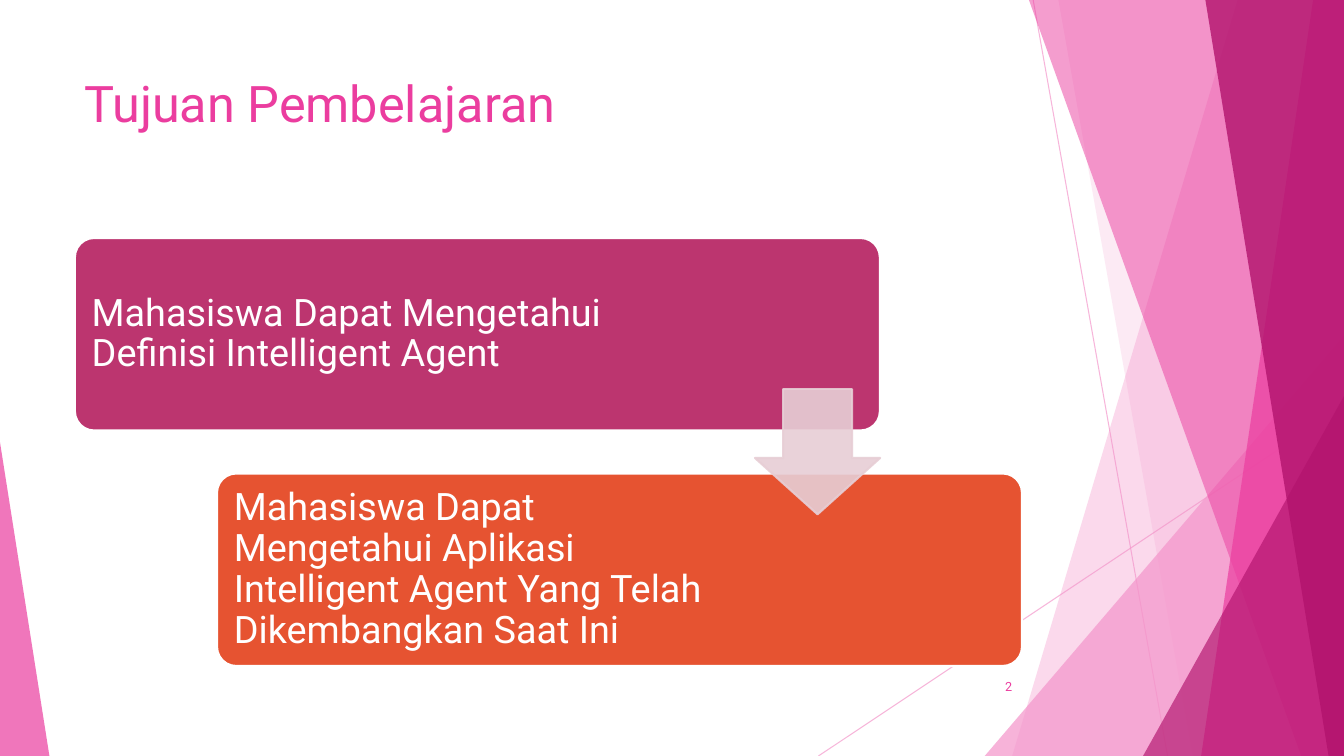
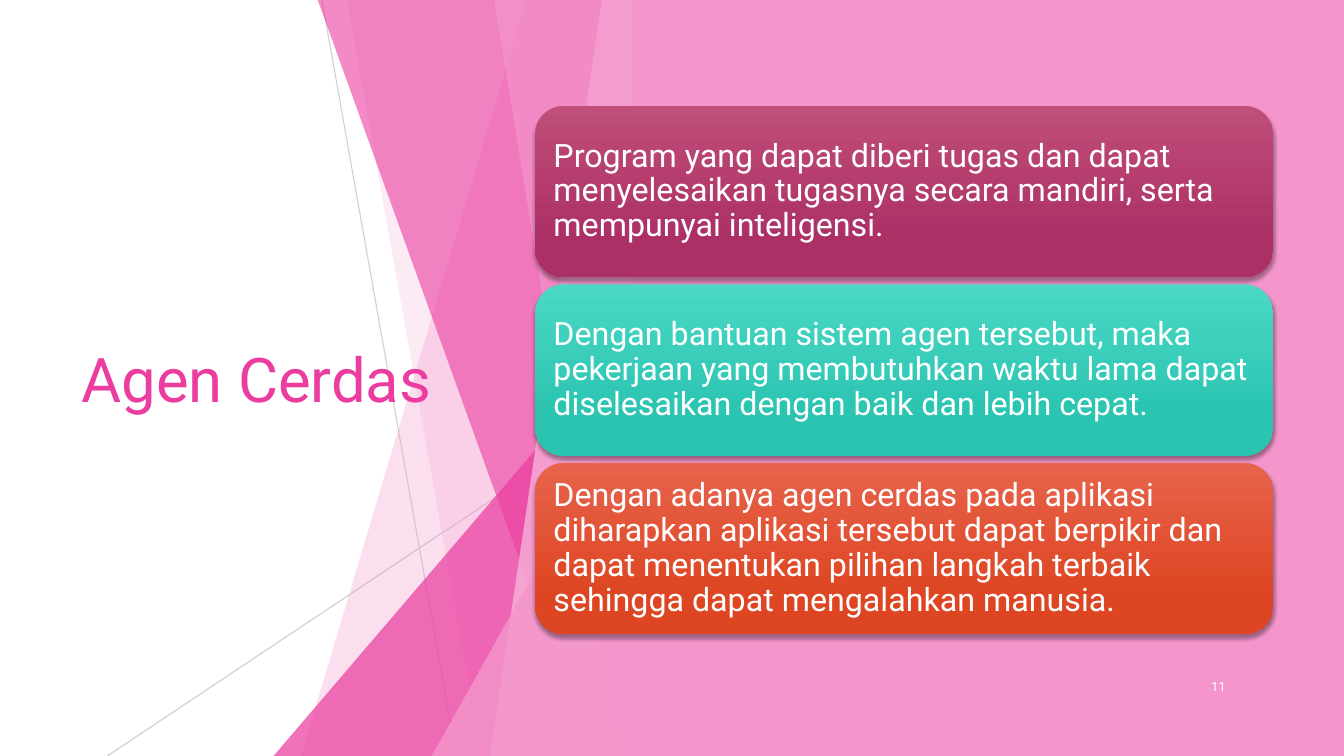
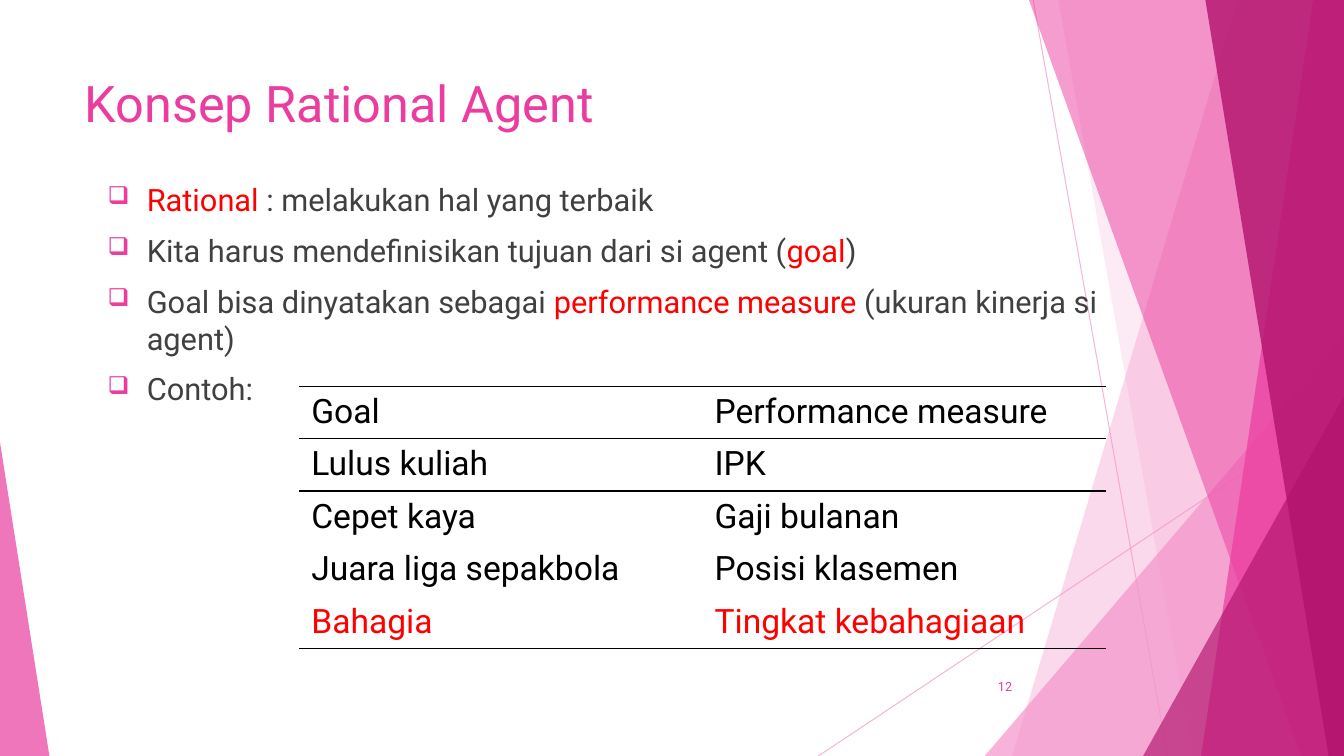
from dataclasses import dataclass

from lxml import etree
from pptx import Presentation
from pptx.dml.color import RGBColor
from pptx.enum.shapes import MSO_CONNECTOR, MSO_SHAPE
from pptx.enum.text import MSO_ANCHOR, PP_ALIGN
from pptx.oxml.ns import qn
from pptx.util import Pt

STRAIGHT = MSO_CONNECTOR.STRAIGHT
TRIANGLE = MSO_SHAPE.ISOSCELES_TRIANGLE
ROUNDED = MSO_SHAPE.ROUNDED_RECTANGLE
RECTANGLE = MSO_SHAPE.RECTANGLE
DOWN_ARROW = MSO_SHAPE.DOWN_ARROW
LEFT, RIGHT = PP_ALIGN.LEFT, PP_ALIGN.RIGHT
TOP, MIDDLE = MSO_ANCHOR.TOP, MSO_ANCHOR.MIDDLE


@dataclass(frozen=True)
class Theme:
    font: str = "Roboto"
    pink: str = "EB3D9F"
    light_pink: str = "F496CB"
    pale_pink: str = "F8C0E0"
    magenta: str = "B2136D"
    rose: str = "BC356F"
    orange: str = "E65331"
    arrow: str = "E7CED5"
    gray: str = "BFBFBF"
    dark: str = "404040"
    red: str = "FF0000"
    black: str = "000000"
    white: str = "FFFFFF"
    rose_fade: tuple = ("BF4E79", "AC3066")
    teal_fade: tuple = ("4AD8C5", "2AC4B1")
    orange_fade: tuple = ("E7634C", "DE4522")
    title: int = 36
    big_title: int = 44
    step: int = 27
    card: int = 23
    body: int = 22
    table: int = 24
    number: int = 9


THEME = Theme()
WIDTH, HEIGHT = 960, 540
FACET_SHIFT = -508
TITLE_BOX = (53.3, 48.2, 677, 65)
TEXT_INSETS = (7.2, 3.6, 7.2, 3.6)

FACETS = [
    ("band", 884, 723),
    ("band", 756, 852),
    ("corner", 703.4, 240),
    ("band", 735, 929.5),
    ("band", 938, 858),
    ("band", 861, 949),
    ("corner", 816.5, 283),
]
RIGHT_PAINTS = [
    (THEME.light_pink, 36),
    (THEME.light_pink, 20),
    (THEME.light_pink, 72),
    (THEME.pink, 50),
    (THEME.pink, 70),
    (THEME.magenta, 80),
    (THEME.magenta, 66),
]
LEFT_PAINTS = [
    (THEME.light_pink, 30),
    (THEME.light_pink, 20),
    (THEME.pink, 72),
    (THEME.pink, 60),
    (THEME.pale_pink, 70),
    (THEME.light_pink, 65),
    (THEME.light_pink, 80),
]


def rgb(color):
    return RGBColor.from_string(color)


def add_element(parent, tag, **attributes):
    element = etree.SubElement(parent, qn(tag))
    for name, value in attributes.items():
        element.set(name, str(value))
    return element


def fade(shape, alpha, *route):
    fill = shape._element.spPr.find("/".join(qn(tag) for tag in route))
    add_element(fill[0], "a:alpha", val=alpha * 1000)


def paint(shape, color, alpha=100, line=None, line_width=1.5):
    shape.shadow.inherit = False
    shape.fill.solid()
    shape.fill.fore_color.rgb = rgb(color)
    if alpha < 100:
        fade(shape, alpha, "a:solidFill")
    if line is None:
        shape.line.fill.background()
        return
    shape.line.color.rgb = rgb(line)
    shape.line.width = Pt(line_width)
    if alpha < 100:
        fade(shape, alpha, "a:ln", "a:solidFill")


def paint_gradient(shape, colors):
    shape.fill.gradient()
    shape.fill.gradient_angle = 270
    for stop, color, position in zip(shape.fill.gradient_stops, colors, (0, 0.78)):
        stop.color.rgb = rgb(color)
        stop.position = position
    shape.line.fill.background()
    shape.shadow.inherit = False
    effects = shape._element.spPr.find(qn("a:effectLst"))
    shadow = add_element(effects, "a:outerShdw", blurRad=Pt(3), dist=Pt(2),
                         dir=90 * 60000, rotWithShape=0)
    color = add_element(shadow, "a:srgbClr", val=THEME.black)
    add_element(color, "a:alpha", val=35000)


def add_preset(slide, kind, box, adjustments=()):
    shape = slide.shapes.add_shape(kind, *(Pt(length) for length in box))
    for index, value in enumerate(adjustments):
        shape.adjustments[index] = value
    return shape


def add_bullet(paragraph, indent=28):
    properties = paragraph._p.get_or_add_pPr()
    properties.set("marL", str(Pt(indent)))
    properties.set("indent", str(-Pt(indent)))
    color = add_element(properties, "a:buClr")
    add_element(color, "a:srgbClr", val=THEME.pink)
    add_element(properties, "a:buSzPct", val=80000)
    add_element(properties, "a:buChar", char="❑")


def write(frame, text, *, size, color, align=LEFT, anchor=TOP, insets=TEXT_INSETS,
          spacing=None, before=0, bullet=False):
    frame.word_wrap = True
    frame.vertical_anchor = anchor
    (frame.margin_left, frame.margin_top,
     frame.margin_right, frame.margin_bottom) = (Pt(inset) for inset in insets)
    paragraphs = [[(text, color)]] if isinstance(text, str) else text
    for index, runs in enumerate(paragraphs):
        paragraph = frame.add_paragraph() if index else frame.paragraphs[0]
        if bullet:
            add_bullet(paragraph)
        paragraph.alignment = align
        if spacing:
            paragraph.line_spacing = spacing
        if index and before:
            paragraph.space_before = Pt(before)
        for content, run_color in runs:
            run = paragraph.add_run()
            run.text = content
            run.font.name = THEME.font
            run.font.size = Pt(size)
            run.font.color.rgb = rgb(run_color)


def add_text(slide, box, text, **text_format):
    shape = slide.shapes.add_textbox(*(Pt(length) for length in box))
    write(shape.text_frame, text, **text_format)


def add_title(slide, text, box=TITLE_BOX, size=THEME.title, anchor=TOP):
    title = slide.shapes.title
    title.left, title.top, title.width, title.height = (Pt(length) for length in box)
    write(title.text_frame, text, size=size, color=THEME.pink, anchor=anchor)
    slide.shapes._spTree.append(title._element)


def add_number(slide, number, left=676, color=THEME.pink):
    add_text(slide, (left, 476, 54, 29), number, size=THEME.number, color=color,
             align=RIGHT, anchor=MIDDLE)


def add_line(slide, start, end, color, alpha):
    points = (Pt(length) for length in (*start, *end))
    line = slide.shapes.add_connector(STRAIGHT, *points)
    line.line.color.rgb = rgb(color)
    line.line.width = Pt(0.75)
    fade(line, alpha, "a:ln", "a:solidFill")
    add_element(line._element.spPr, "a:effectLst")


def add_band(slide, top_x, bottom_x, edge):
    builder = slide.shapes.build_freeform(Pt(top_x), 0)
    corners = [(edge, 0), (edge, HEIGHT), (bottom_x, HEIGHT)]
    builder.add_line_segments([(Pt(x), Pt(y)) for x, y in corners], close=True)
    return builder.convert_to_shape()


def add_facets(slide, paints, line_color, line_alphas, shift=0):
    edge = WIDTH + shift
    add_line(slide, (738 + shift, 0), (834 + shift, HEIGHT), line_color, line_alphas[0])
    add_line(slide, (edge, 290), (584.6 + shift, HEIGHT), line_color, line_alphas[1])
    for (kind, first, second), (color, alpha) in zip(FACETS, paints):
        left = first + shift
        if kind == "band":
            facet = add_band(slide, left, second + shift, edge)
        else:
            box = (left, second, edge - left, HEIGHT - second)
            facet = add_preset(slide, TRIANGLE, box, [1])
        paint(facet, color, alpha)


def add_standard_slide(presentation, title, number):
    slide = presentation.slides.add_slide(presentation.slide_layouts[5])
    add_facets(slide, RIGHT_PAINTS, THEME.light_pink, (70, 70))
    paint(add_preset(slide, TRIANGLE, (0, 316, 35.3, 224), [0]), THEME.pink, 70)
    add_title(slide, title)
    add_number(slide, number)
    return slide


def add_step(slide, left, top, text, color, right_inset):
    step = add_preset(slide, ROUNDED, (left, top, 575, 137.5), [0.1])
    paint(step, color, line=THEME.white)
    write(step.text_frame, text, size=THEME.step, color=THEME.white, anchor=MIDDLE,
          insets=(8, 0, right_inset, 0), spacing=0.9)


def add_card(slide, top, text, colors):
    card = add_preset(slide, ROUNDED, (382.3, top, 527, 122.4))
    paint_gradient(card, colors)
    write(card.text_frame, text, size=THEME.card, color=THEME.white, anchor=MIDDLE,
          insets=(7.2, 0, 7.2, 0), spacing=0.9)


def set_border(cell, side, width):
    border = add_element(cell._tc.get_or_add_tcPr(), f"a:ln{side}", w=Pt(width))
    if width:
        fill = add_element(border, "a:solidFill")
        add_element(fill, "a:srgbClr", val=THEME.black)
    else:
        add_element(border, "a:noFill")


def add_ruled_table(slide, left, top, column_width, row_height, rows, rules):
    width, height = column_width * len(rows[0]), row_height * len(rows)
    table = slide.shapes.add_table(len(rows), len(rows[0]), Pt(left), Pt(top),
                                   Pt(width), Pt(height)).table
    table.first_row = table.horz_banding = False
    for row_index, row in enumerate(rows):
        color = THEME.red if row is rows[-1] else THEME.black
        borders = {"L": 0, "R": 0, "T": rules[row_index], "B": rules[row_index + 1]}
        for column_index, text in enumerate(row):
            cell = table.cell(row_index, column_index)
            for side, rule in borders.items():
                set_border(cell, side, rule)
            cell.fill.background()
            write(cell.text_frame, text, size=THEME.table, color=color)
            cell.margin_left = cell.margin_right = Pt(8.64)
            cell.margin_top = cell.margin_bottom = Pt(4.32)


def build_goals(presentation):
    slide = add_standard_slide(presentation, "Tujuan Pembelajaran", "2")
    add_step(slide, 53.5, 170, "Mahasiswa Dapat Mengetahui Definisi Intelligent Agent",
             THEME.rose, 141)
    add_step(slide, 155, 338.2,
             "Mahasiswa Dapat Mengetahui Aplikasi Intelligent Agent Yang Telah "
             "Dikembangkan Saat Ini", THEME.orange, 198)
    arrow = add_preset(slide, DOWN_ARROW, (539.3, 278, 89.4, 89.4), [0.55, 0.45])
    paint(arrow, THEME.arrow, 90, line=THEME.arrow)


def build_smart_agent(presentation):
    slide = presentation.slides.add_slide(presentation.slide_layouts[5])
    add_facets(slide, LEFT_PAINTS, THEME.gray, (75, 80), FACET_SHIFT)
    add_title(slide, "Agen Cerdas", (51, 108.7, 279.5, 322.5), THEME.big_title, MIDDLE)
    edge = WIDTH + FACET_SHIFT
    paint(add_preset(slide, RECTANGLE, (edge, 0, WIDTH - edge, HEIGHT)), THEME.light_pink)
    add_number(slide, "11", 828.5, THEME.white)
    cards = [
        ("Program yang dapat diberi tugas dan dapat menyelesaikan tugasnya secara "
         "mandiri, serta mempunyai inteligensi.", THEME.rose_fade),
        ("Dengan bantuan sistem agen tersebut, maka pekerjaan yang membutuhkan waktu "
         "lama dapat diselesaikan dengan baik dan lebih cepat.", THEME.teal_fade),
        ("Dengan adanya agen cerdas pada aplikasi diharapkan aplikasi tersebut dapat "
         "berpikir dan dapat menentukan pilihan langkah terbaik sehingga dapat "
         "mengalahkan manusia.", THEME.orange_fade),
    ]
    for index, (text, colors) in enumerate(cards):
        add_card(slide, 75.6 + 127.5 * index, text, colors)


def build_rational_agent(presentation):
    slide = add_standard_slide(presentation, "Konsep Rational Agent", "12")
    dark, red = THEME.dark, THEME.red
    points = [
        [("Rational", red), (" : melakukan hal yang terbaik", dark)],
        [("Kita harus mendefinisikan tujuan dari si agent (", dark), ("goal", red),
         (")", dark)],
        [("Goal bisa dinyatakan sebagai ", dark), ("performance measure ", red),
         ("(ukuran kinerja si agent)", dark)],
        [("Contoh:", dark)],
    ]
    add_text(slide, (69.8, 125.3, 777.6, 303), points, size=THEME.body, color=dark,
             before=10, bullet=True)
    rows = [
        ("Goal", "Performance measure"),
        ("Lulus kuliah", "IPK"),
        ("Cepet kaya", "Gaji bulanan"),
        ("Juara liga sepakbola", "Posisi klasemen"),
        ("Bahagia", "Tingkat kebahagiaan"),
    ]
    add_ruled_table(slide, 213.8, 275.8, 288, 37.5, rows, (1, 1, 1.5, 0, 0, 1))


def main():
    presentation = Presentation()
    presentation.slide_width, presentation.slide_height = Pt(WIDTH), Pt(HEIGHT)
    build_goals(presentation)
    build_smart_agent(presentation)
    build_rational_agent(presentation)
    presentation.save("out.pptx")


if __name__ == "__main__":
    main()
